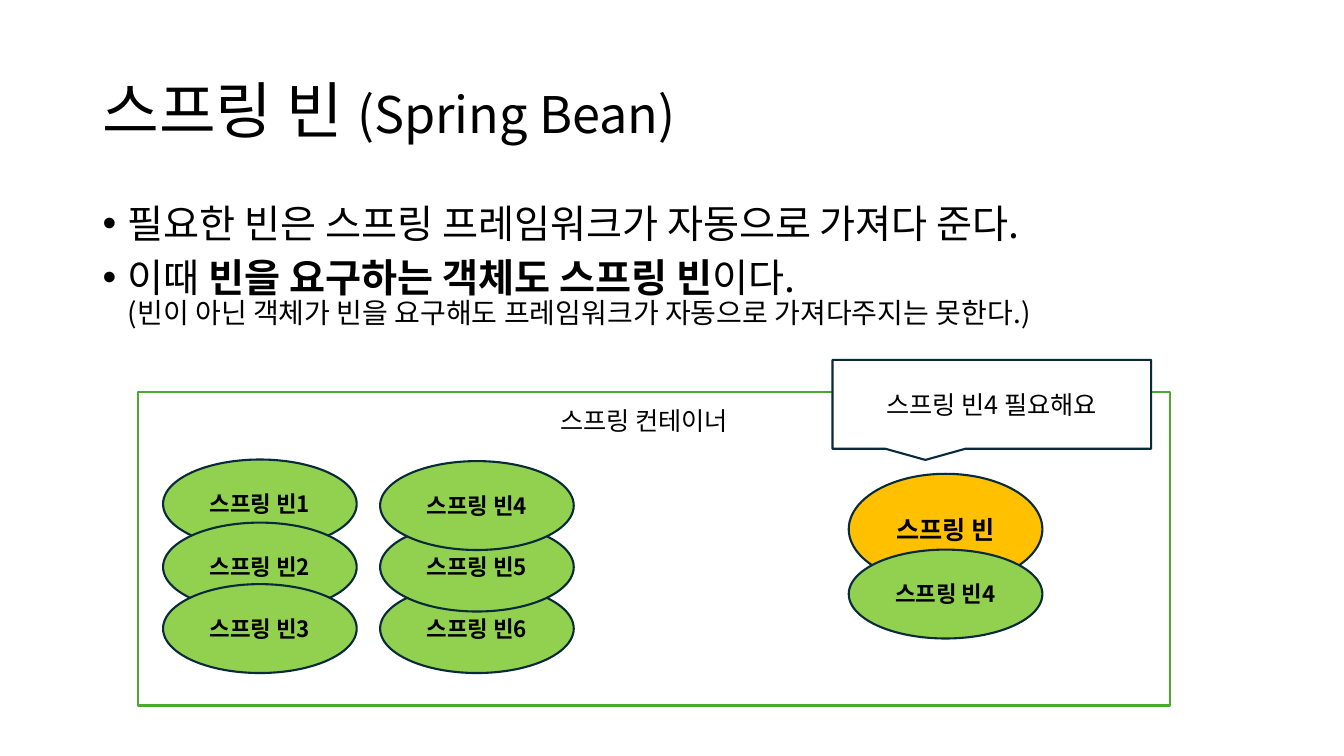
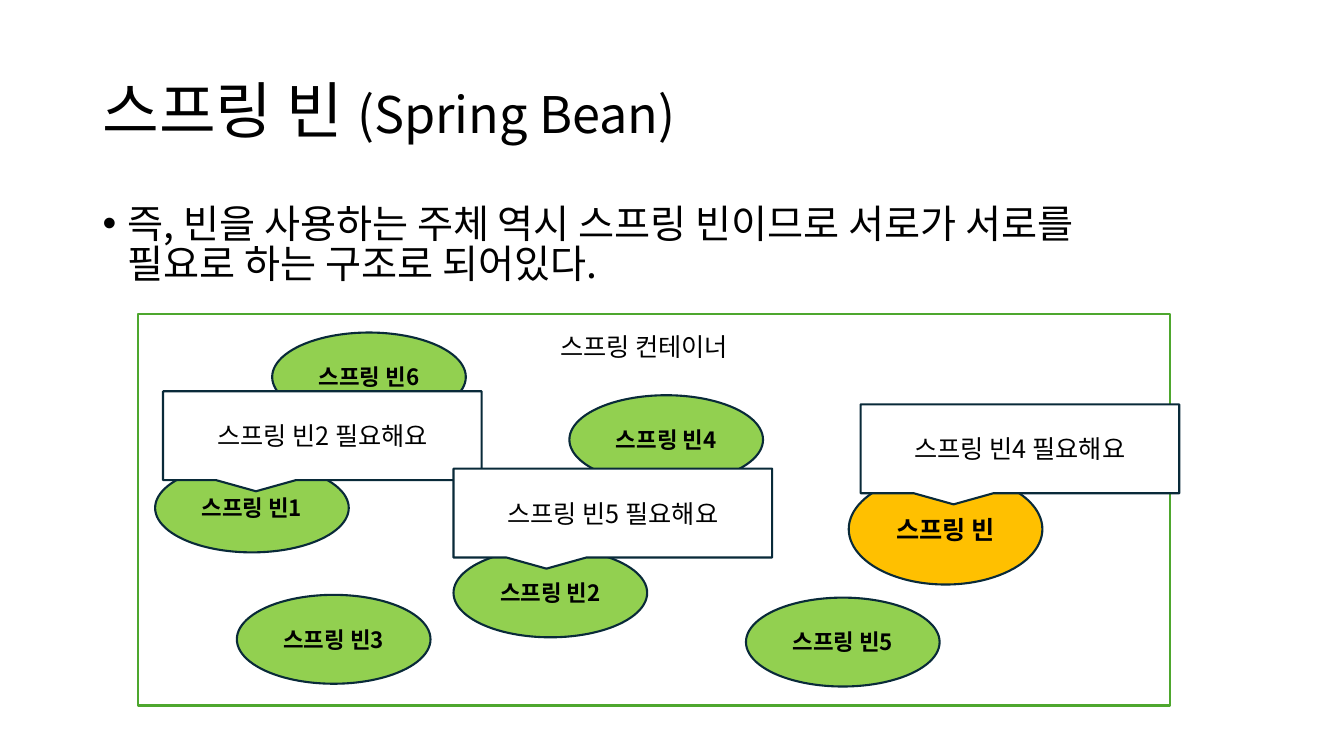
from copy import deepcopy

from lxml.etree import SubElement
from pptx import Presentation
from pptx.dml.color import RGBColor
from pptx.enum.shapes import MSO_SHAPE as SHAPE
from pptx.enum.text import MSO_ANCHOR as ANCHOR, MSO_AUTO_SIZE as AUTO, PP_ALIGN as ALIGN
from pptx.oxml.ns import qn
from pptx.util import Cm, Pt

FONT = "Noto Sans CJK KR"
BLACK, WHITE, NAVY = "000000", "FFFFFF", "092A39"
GREEN, LIME, AMBER = "4EA72E", "92D050", "FFC000"


def color(value):
    return RGBColor.from_string(value)


class Deck:
    left, width = 2.33, 29.21
    bean_width, bean_height = 4.88, 2.24

    def __init__(self):
        self.prs = Presentation()
        self.prs.slide_width, self.prs.slide_height = Cm(33.87), Cm(19.05)
        self.layout = self.prs.slide_layouts[1]
        title, body = list(self.layout.placeholders)[:2]
        self.place(title, self.left, 1.01, self.width, 3.68)
        self.place(body, self.left, 5.07, self.width, 12.09)

    def place(self, sp, *box):
        sp.left, sp.top, sp.width, sp.height = (Cm(v) for v in box)

    def run(self, p, text, size, bold=False):
        r = p.add_run()
        r.text = text
        r.font.name = FONT
        r.font.size = Pt(size)
        r.font.bold = bold
        r.font.color.rgb = color(BLACK)
        SubElement(r._r.rPr, qn("a:ea"), typeface=FONT)
        return r

    def new_slide(self):
        self.s = self.prs.slides.add_slide(self.layout)
        tf = self.s.shapes.title.text_frame
        tf.auto_size = AUTO.NONE
        tf.vertical_anchor = ANCHOR.MIDDLE
        p = tf.paragraphs[0]
        p.alignment = ALIGN.LEFT
        p.line_spacing = 0.9
        self.run(p, "스프링 빈 ", 44)
        self.run(p, "(Spring Bean)", 36)

    def bullets(self, *items):
        tf = self.s.placeholders[1].text_frame
        tf.auto_size = AUTO.NONE
        for i, runs in enumerate(items):
            p = tf.add_paragraph() if i else tf.paragraphs[0]
            p.line_spacing = 0.85
            p.space_before = Pt(10 if i else 0)
            pPr = p._p.get_or_add_pPr()
            pPr.set("marL", str(Cm(0.64)))
            pPr.set("indent", str(Cm(-0.64)))
            SubElement(pPr, qn("a:buFont"), typeface="Arial")
            SubElement(pPr, qn("a:buChar"), char="•")
            for text, size, bold in runs:
                r = self.run(p, text.rstrip("\n"), size, bold)
                if text.endswith("\n"):
                    p.add_line_break()
                    p._p[-1].append(deepcopy(r._r.rPr))

    def shape(self, kind, box, fill, line, text="", size=18, bold=False):
        sp = self.s.shapes.add_shape(kind, *(Cm(v) for v in box))
        sp.shadow.inherit = False
        sp.fill.solid()
        sp.fill.fore_color.rgb = color(fill)
        sp.line.color.rgb = color(line)
        sp.line.width = Pt(1.5)
        if text:
            sp.text_frame.vertical_anchor = ANCHOR.MIDDLE
            p = sp.text_frame.paragraphs[0]
            p.alignment = ALIGN.CENTER
            self.run(p, text, size, bold)

    def container(self, top, label_top):
        self.shape(SHAPE.RECTANGLE, (3.48, top, 26.01, 17.78 - top), WHITE, GREEN)
        sp = self.s.shapes.add_textbox(Cm(13.87), Cm(label_top), Cm(5.23), Cm(1.02))
        tf = sp.text_frame
        tf.word_wrap = False
        tf.auto_size = AUTO.SHAPE_TO_FIT_TEXT
        self.run(tf.paragraphs[0], "스프링 컨테이너", 18)

    def bean(self, number, left, top):
        box = left, top, self.bean_width, self.bean_height
        self.shape(SHAPE.OVAL, box, LIME, NAVY, f"스프링 빈{number}", 16, True)

    def client(self):
        box = 21.39, 11.94, self.bean_width, 2.79
        self.shape(SHAPE.OVAL, box, AMBER, NAVY, "스프링 빈", 18, True)

    def request(self, number, left, top):
        box = left, top, 8.03, self.bean_height
        self.shape(SHAPE.RECTANGULAR_CALLOUT, box, WHITE, NAVY, f"스프링 빈{number} 필요해요")


def injection_slide(deck):
    deck.new_slide()
    deck.bullets(
        [("필요한 빈은 스프링 프레임워크가 자동으로 가져다 준다.", 28, False)],
        [
            ("이때 ", 28, False),
            ("빈을 요구하는 객체도 스프링 빈", 28, True),
            ("이다.\n", 28, False),
            ("(빈이 아닌 객체가 빈을 요구해도 프레임워크가 자동으로 가져다주지는 못한다.)", 20, False),
        ],
    )
    deck.container(9.88, 10.08)
    first, second = 4.11, 9.58
    for number, left, top in [
        (1, first, 11.58), (2, first, 13.17), (3, first, 14.72),
        (6, second, 14.72), (5, second, 13.17),
    ]:
        deck.bean(number, left, top)
    deck.client()
    deck.request(4, 20.98, 9.07)
    deck.bean(4, second, 11.62)
    deck.bean(4, 21.39, 13.85)


def mutual_slide(deck):
    deck.new_slide()
    deck.bullets([
        ("즉, 빈을 사용하는 주체 역시 스프링 빈이므로 서로가 서로를\n", 28, False),
        ("필요로 하는 구조로 되어있다.", 28, False),
    ])
    deck.container(7.92, 8.23)
    for number, left, top in [
        (1, 3.91, 11.68), (2, 11.43, 13.82), (3, 5.97, 14.99),
        (6, 6.86, 8.38), (5, 18.8, 15.06),
    ]:
        deck.bean(number, left, top)
    deck.client()
    deck.request(4, 21.69, 10.19)
    deck.bean(4, 14.35, 9.96)
    deck.request(2, 4.11, 9.86)
    deck.request(5, 11.43, 11.81)


def main():
    deck = Deck()
    injection_slide(deck)
    mutual_slide(deck)
    deck.prs.save("out.pptx")


if __name__ == "__main__":
    main()
